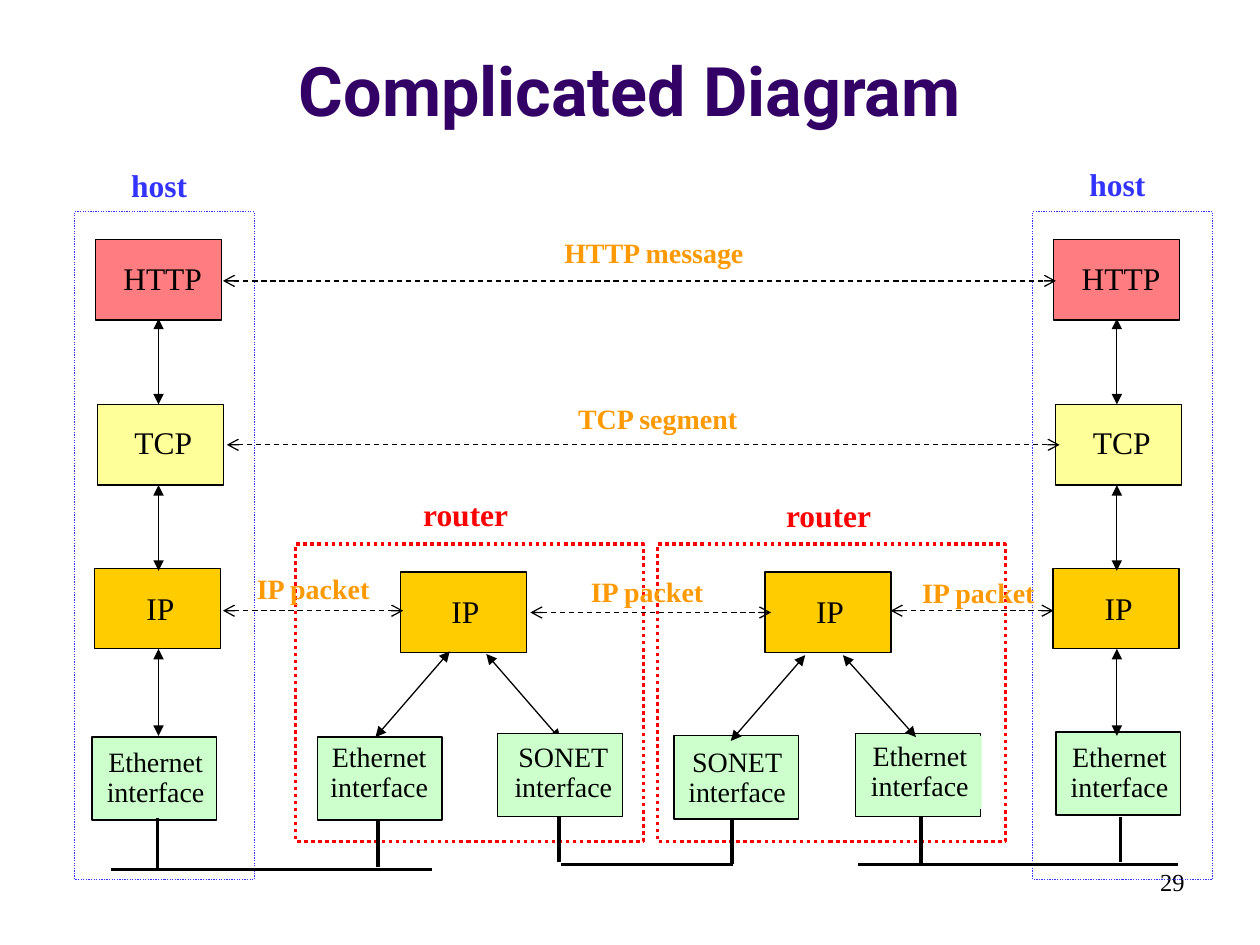
import pptx
import pptx.util
import pptx.dml.color
import pptx.enum.dml
import pptx.enum.shapes
import pptx.enum.text
import pptx.oxml.ns
import lxml.etree

Pt = pptx.util.Pt
RGB = pptx.dml.color.RGBColor.from_string
qn = pptx.oxml.ns.qn
Dash = pptx.enum.dml.MSO_LINE
Align = pptx.enum.text.PP_ALIGN
Anchor = pptx.enum.text.MSO_ANCHOR

theme = {
    "ink": "000000", "title": "330066", "host": "3333FF", "router": "FF0000",
    "note": "FF9900", "HTTP": "FF7C80", "TCP": "FFFF99", "IP": "FFCC00",
    "port": "CCFFCC", "head": "Roboto", "body": "Times New Roman",
    "big": 39, "name": 18, "small": 16, "page": 14, "thin": 0.75, "thick": 2,
}

deck = pptx.Presentation()
deck.slide_width, deck.slide_height = Pt(720), Pt(540)
slide = deck.slides.add_slide(deck.slide_layouts[6])
shapes = slide.shapes


def box(x, y, w, h, fill=None, edge=None, width="thin", dash=None, text=None,
        size="name", color="ink", bold=False, align=Align.LEFT, font="body", space=None):
    place = Pt(x), Pt(y), Pt(w), Pt(h)
    if text:
        shape = shapes.add_textbox(*place)
        frame = shape.text_frame
        frame.word_wrap = False
        frame.text = text
        for para in frame.paragraphs:
            para.alignment, para.line_spacing = align, space
            para.font.name, para.font.size = theme[font], Pt(theme[size])
            para.font.bold, para.font.color.rgb = bold, RGB(theme[color])
    else:
        shape = shapes.add_shape(pptx.enum.shapes.MSO_SHAPE.RECTANGLE, *place)
        shape.shadow.inherit = False
    if fill:
        shape.fill.solid()
        shape.fill.fore_color.rgb = RGB(theme[fill])
    else:
        shape.fill.background()
    if edge:
        shape.line.color.rgb = RGB(theme[edge])
        shape.line.width = Pt(theme[width])
        shape.line.dash_style = dash
    else:
        shape.line.fill.background()
    return shape


def link(x1, y1, x2, y2, tip=None, width="thin", dash=None):
    line = shapes.add_connector(pptx.enum.shapes.MSO_CONNECTOR.STRAIGHT,
                                Pt(x1), Pt(y1), Pt(x2), Pt(y2))
    line.line.color.rgb = RGB(theme["ink"])
    line.line.width = Pt(theme[width])
    line.line.dash_style = dash
    props = line._element.spPr
    if tip:
        for end in ("a:headEnd", "a:tailEnd"):
            lxml.etree.SubElement(props.find(qn("a:ln")), qn(end), type=tip)
    lxml.etree.SubElement(props, qn("a:effectLst"))


title = box(0, 9.4, 720, 68.4, text="Complicated Diagram", size="big",
            color="title", bold=True, align=Align.CENTER, font="head")
title.text_frame.vertical_anchor = Anchor.BOTTOM
title.text_frame.word_wrap = True
page = box(516.2, 491.8, 167.8, 36, text="29", size="page", align=Align.RIGHT)
page.text_frame.word_wrap = True

port = {"size": "small", "align": Align.CENTER, "space": 0.9}
layers = [
    ("HTTP", 54.5, 136.8, 63.4, 144.7, 59.8),
    ("TCP", 55.6, 231.1, 69.8, 238.3, 47.5),
    ("IP", 54.1, 324.7, 76.6, 333, 30.2),
]
for shift, px, py, top in ((0, 52.6, 421.2, 91.4), (547.6, 603.4, 418.3, 90.7)):
    for name, x, y, tx, ty, tw in layers:
        box(x + shift, y, 72, 46, name, "ink")
        box(tx + shift, ty, tw, 28.8, text=name)
    box(px, py, 71.3, 47.5, "port", "ink")
    box(px + 1, py + 2.9, 70.6, 41.8, text="Ethernet\ninterface", **port)
    for y1, y2 in ((182.2, 231.1), (277.2, 326.2), (370.8, 420.5)):
        link(90.6 + shift, y1, 90.6 + shift, y2, "triangle")
    box(42.5 + shift, 121, 103, 381.6, edge="host", dash=Dash.ROUND_DOT)
    box(67.8 + shift, top, 46.8, 28.8, text="host", color="host", bold=True)

for x in (228.8, 437.2):
    box(x, 326.9, 72, 46, "IP", "ink")
    box(x + 22, 334.8, 30.2, 28.8, text="IP")

ports = [
    ("Ethernet", 181.4, 421.2, 0, 0, None,
     [(257, 372.2, 214.6, 421.2), (277.9, 373.7, 320.4, 422.6)]),
    ("SONET", 284.4, 419, 2.2, 2.2, None, []),
    ("SONET", 385.2, 420.5, 0.7, 3.6, None, [(460.1, 374.4, 417.6, 423.4)]),
    ("Ethernet", 488.9, 419, 1.4, 1.5, "port", [(481.7, 374.4, 523.4, 421.2)]),
]
for name, x, y, dx, dy, fill, arrows in ports:
    box(x, y, 71.3, 47.5, "port", "ink")
    box(x + dx, y + dy, 70.6, 41.8, fill, text=name + "\ninterface", **port)
    for ends in arrows:
        link(*ends, "triangle")

for x, tx, ty in ((169, 234.7, 279.4), (375.8, 442.1, 280.1)):
    box(x, 311, 198.7, 170, edge="router", width="thick", dash=Dash.ROUND_DOT)
    box(tx, ty, 63.4, 28.8, text="router", color="router", bold=True)

wires = [
    (90, 467.3, 90, 496.8), (216, 469.4, 216, 495.4), (63.4, 496.8, 247, 496.8),
    (319.4, 466.6, 319.4, 492.5), (418.3, 467.3, 418.3, 493.9), (320.4, 493.9, 419, 493.9),
    (526.3, 466.6, 526.3, 494.6), (640.4, 466.6, 640.4, 492.5), (673.2, 493.9, 490.3, 493.9),
]
for ends in wires:
    link(*ends, width="thick")

flows = [
    ("HTTP message", 127.4, 603.4, 160.5, 315.4, 131, 118.1),
    ("TCP segment", 129.6, 605.5, 254.2, 323.3, 226.1, 106.6),
    ("IP packet", 127.4, 230.4, 349, 139.7, 323.3, 79.9),
    ("IP packet", 303.1, 440.6, 350, 330.5, 324.7, 79.9),
    ("IP packet", 509, 602, 349, 519.8, 325.4, 79.9),
]
for name, x1, x2, y, tx, ty, tw in flows:
    link(x1, y, x2, y, "arrow", dash=Dash.DASH)
    box(tx, ty, tw, 26.6, text=name, size="small", color="note", bold=True)

deck.save("out.pptx")
